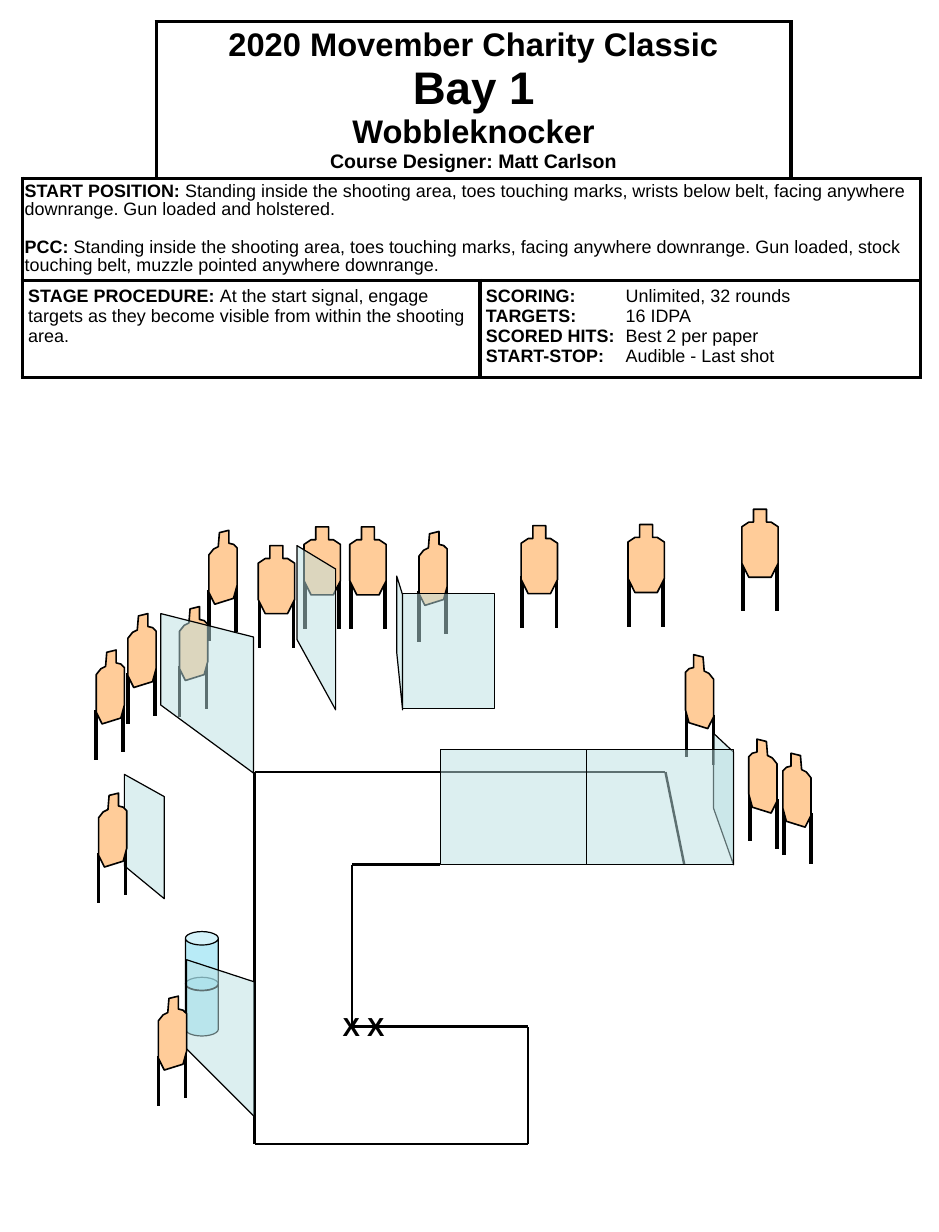
from dataclasses import dataclass
from typing import Any, NamedTuple

from lxml import etree
from pptx import Presentation
from pptx.dml.color import RGBColor
from pptx.enum import shapes as es, text as et
from pptx.oxml import ns
from pptx.util import Inches, Pt


@dataclass(frozen=True)
class Theme:
    font: str = "Arial"
    ink: str = "000000"
    paper: str = "FFFFFF"
    cardboard: str = "FFCC99"
    glass: str = "BBE0E3"
    barrel: str = "73D9F1"
    opacity: int = 50
    thin: float = 0.75
    outline: float = 1
    boundary: float = 1.5
    heavy: float = 2.25
    body: float = 11
    designer: float = 12
    mark: float = 16
    heading: float = 20
    bay: float = 28


class Point(NamedTuple):
    x: float
    y: float


class Leg(NamedTuple):
    x: float
    top: float
    bottom: float


@dataclass(frozen=True)
class TargetKind:
    outline: tuple[Point, ...]
    legs: tuple[Leg, ...]


@dataclass(frozen=True)
class Target:
    kind: TargetKind
    at: Point


class Phrase(NamedTuple):
    words: str
    size: float
    bold: bool = False


THEME = Theme()


def points(*pairs: tuple[float, float]) -> tuple[Point, ...]:
    return tuple(Point(*pair) for pair in pairs)


def mirrored(kind: TargetKind, width: float) -> TargetKind:
    return TargetKind(tuple(Point(width - p.x, p.y) for p in kind.outline),
                      tuple(Leg(width - leg.x, leg.top, leg.bottom) for leg in kind.legs))


FRONTAL = TargetKind(
    points((.1, 0), (.21, 0), (.21, .11), (.25, .11), (.31, .15), (.31, .46), (.25, .58),
           (.06, .58), (0, .46), (0, .15), (.06, .11), (.1, .11)),
    (Leg(.01, .43, .87), Leg(.3, .43, .87)))
TURNED = TargetKind(
    points((.09, .02), (.17, 0), (.17, .11), (.21, .12), (.24, .15), (.24, .47), (.21, .58),
           (.05, .63), (0, .53), (0, .21), (.04, .16), (.08, .14)),
    (Leg(0, .51, .94), Leg(.23, .44, .87)))
TURNED_BACK = mirrored(TURNED, .24)


def targets(kind: TargetKind, *spots: tuple[float, float]) -> list[Target]:
    return [Target(kind, spot) for spot in points(*spots)]


BACK_TARGETS = [
    *targets(TURNED, (3.57, 4.53), (1.78, 4.52), (1.53, 5.17)),
    *targets(TURNED_BACK, (5.84, 5.58)),
    *targets(FRONTAL, (2.2, 4.65), (2.59, 4.49), (2.98, 4.49)),
]
FRONT_TARGETS = [
    *targets(TURNED, (1.35, 8.49), (1.09, 5.23), (.84, 6.76), (.82, 5.54)),
    *targets(TURNED_BACK, (6.38, 6.3), (6.67, 6.42)),
    *targets(FRONTAL, (4.44, 4.48), (5.35, 4.47), (6.32, 4.34)),
]
BOUNDARY = [
    points((5.83, 7.37), (5.67, 6.58), (2.17, 6.58), (2.17, 9.75),
           (4.5, 9.75), (4.5, 8.75), (3, 8.75), (3, 7.37), (3.75, 7.37)),
]
WALLS = [
    points((6.08, 6.89), (6.25, 7.37), (6.25, 6.41), (6.08, 6.25)),
    points((6.25, 7.37), (5, 7.37), (5, 6.39), (6.25, 6.39)),
    points((5, 7.37), (3.75, 7.37), (3.75, 6.39), (5, 6.39)),
    points((1.59, 8.94), (2.17, 9.52), (2.17, 8.37), (1.59, 8.18)),
    points((1.37, 6.01), (2.16, 6.59), (2.16, 5.43), (1.37, 5.23)),
    points((4.21, 6.04), (3.43, 6.04), (3.43, 5.06), (4.21, 5.06)),
    points((3.38, 5.56), (3.43, 6.05), (3.43, 5.07), (3.38, 4.91)),
    points((2.53, 5.45), (2.86, 6.05), (2.86, 4.85), (2.53, 4.65)),
    points((1.06, 7.38), (1.4, 7.66), (1.4, 6.79), (1.06, 6.6)),
]
BODY = THEME.body
TITLE = [[Phrase("2020 Movember Charity Classic", THEME.heading, True)],
         [Phrase("Bay 1", THEME.bay, True)],
         [Phrase("Wobbleknocker", THEME.heading, True)],
         [Phrase("Course Designer: Matt Carlson", THEME.designer, True)]]
START = [[Phrase("START POSITION:", BODY, True),
          Phrase(" Standing inside the shooting area, toes touching marks, wrists below belt, "
                 "facing anywhere downrange. Gun loaded and holstered.", BODY)],
         [Phrase("PCC: ", BODY, True),
          Phrase("Standing inside the shooting area, toes touching marks, facing anywhere "
                 "downrange. Gun loaded, stock touching belt, muzzle pointed anywhere "
                 "downrange.", BODY)]]
PROCEDURE = [[Phrase("STAGE PROCEDURE: ", BODY, True),
              Phrase("At the start signal, engage targets as they become visible from within "
                     "the shooting area.", BODY)]]
SCORING = [[Phrase(label, BODY, True), Phrase("\t" + value, BODY)] for label, value in (
    ("SCORING:", "Unlimited, 32 rounds"), ("TARGETS:", "16 IDPA"),
    ("SCORED HITS:", "Best 2 per paper"), ("START-STOP:", "Audible - Last shot"))]


def assign(item: Any, formats: dict[str, Any]) -> None:
    for name, value in formats.items():
        setattr(item, name, value)


def paint(shape: Any, color: str, width: float, opacity: int = 100) -> None:
    shape.shadow.inherit = False
    shape.fill.solid()
    shape.fill.fore_color.rgb = RGBColor.from_string(color)
    shape.line.color.rgb = RGBColor.from_string(THEME.ink)
    shape.line.width = Pt(width)
    if opacity < 100:
        tone = shape._element.spPr.find(ns.qn("a:solidFill"))[0]
        etree.SubElement(tone, ns.qn("a:alpha"), val=str(opacity * 1000))


def draw_line(shapes: Any, start: Point, end: Point, width: float) -> None:
    line = shapes.add_connector(es.MSO_CONNECTOR.STRAIGHT, *map(Inches, (*start, *end)))
    line.line.color.rgb = RGBColor.from_string(THEME.ink)
    line.line.width = Pt(width)
    etree.SubElement(line._element.spPr, ns.qn("a:effectLst"))


def draw_polygon(shapes: Any, corners: tuple[Point, ...]) -> Any:
    first, *rest = [(Inches(p.x), Inches(p.y)) for p in corners]
    builder = shapes.build_freeform(*first)
    builder.add_line_segments(rest, close=True)
    return builder.convert_to_shape()


def draw_target(shapes: Any, target: Target) -> None:
    x, y = target.at
    stand = shapes.add_group_shape().shapes
    for leg in target.kind.legs:
        draw_line(stand, Point(x + leg.x, y + leg.top), Point(x + leg.x, y + leg.bottom), THEME.heavy)
    outline = tuple(Point(x + p.x, y + p.y) for p in target.kind.outline)
    paint(draw_polygon(stand, outline), THEME.cardboard, THEME.outline)


def write(frame: Any, paragraphs: list[list[Phrase]], formats: dict[str, Any], gap: float = 0) -> None:
    for index, phrases in enumerate(paragraphs):
        paragraph = frame.add_paragraph() if index else frame.paragraphs[0]
        assign(paragraph, formats)
        if index and gap:
            paragraph.space_before = Pt(gap)
        for phrase in phrases:
            run = paragraph.add_run()
            run.text = phrase.words
            assign(run.font, {"name": THEME.font, "size": Pt(phrase.size), "bold": phrase.bold})
            run.font.color.rgb = RGBColor.from_string(THEME.ink)


def add_border(cell: Any, sides: str) -> None:
    for index, side in enumerate(sides):
        edge = etree.Element(ns.qn(f"a:ln{side}"), w=str(Pt(THEME.heavy)))
        fill = etree.SubElement(edge, ns.qn("a:solidFill"))
        etree.SubElement(fill, ns.qn("a:srgbClr"), val=THEME.ink)
        cell._tc.get_or_add_tcPr().insert(index, edge)


def draw_briefing(shapes: Any) -> None:
    columns, rows = (1.14, 2.76, 2.65, 1.1), (1.34, .87, .83)
    table = shapes.add_table(len(rows), len(columns), Inches(.19), Inches(.18),
                             Inches(sum(columns)), Inches(sum(rows))).table
    assign(table, {"first_row": False, "horz_banding": False})
    for column, width in zip(table.columns, columns):
        column.width = Inches(width)
    for row, height in zip(table.rows, rows):
        row.height = Inches(height)
    for first, last in (((0, 1), (0, 2)), ((1, 0), (1, 3)), ((2, 0), (2, 1)), ((2, 2), (2, 3))):
        table.cell(*first).merge(table.cell(*last))
    corners = {(0, 0): "RB", (0, 3): "LB"}
    for r in range(len(rows)):
        for c in range(len(columns)):
            cell = table.cell(r, c)
            cell.fill.solid()
            cell.fill.fore_color.rgb = RGBColor.from_string(THEME.paper)
            add_border(cell, corners.get((r, c), "LRTB"))
    centred = {"alignment": et.PP_ALIGN.CENTER}
    for place, words, formats, gap, inset_x, inset_y in (
            ((0, 1), TITLE, centred, 0, .05, .03), ((1, 0), START, {"line_spacing": .9}, 12.6, .02, .04),
            ((2, 0), PROCEDURE, {}, 0, .05, .05), ((2, 2), SCORING, {}, 0, .05, .05)):
        cell = table.cell(*place)
        assign(cell, {"margin_left": Inches(inset_x), "margin_right": Inches(inset_x),
                      "margin_top": Inches(inset_y), "margin_bottom": Inches(inset_y)})
        write(cell.text_frame, words, formats, gap)
    table.cell(0, 1).vertical_anchor = et.MSO_ANCHOR.MIDDLE
    for paragraph in table.cell(2, 2).text_frame.paragraphs:
        stops = etree.SubElement(paragraph._p.get_or_add_pPr(), ns.qn("a:tabLst"))
        etree.SubElement(stops, ns.qn("a:tab"), pos=str(Inches(1.19)), algn="l")


def main() -> None:
    deck = Presentation()
    assign(deck, {"slide_width": Inches(8), "slide_height": Inches(10.5)})
    shapes = deck.slides.add_slide(deck.slide_layouts[6]).shapes
    for top in (8.33, 7.94):
        barrel = shapes.add_shape(es.MSO_SHAPE.CAN, *map(Inches, (1.58, top, .28, .5)))
        barrel.adjustments[0] = .41
        paint(barrel, THEME.barrel, THEME.thin, THEME.opacity)
    for target in BACK_TARGETS:
        draw_target(shapes, target)
    for course in BOUNDARY:
        for start, end in zip(course, course[1:]):
            draw_line(shapes, start, end, THEME.boundary)
    draw_briefing(shapes)
    marks = shapes.add_textbox(*map(Inches, (2.82, 8.56, .58, .37)))
    marks.text_frame.word_wrap = False
    write(marks.text_frame, [[Phrase("X X", THEME.mark, True)]], {})
    for wall in WALLS:
        paint(draw_polygon(shapes, wall), THEME.glass, THEME.thin, THEME.opacity)
    for target in FRONT_TARGETS:
        draw_target(shapes, target)
    deck.save("out.pptx")


if __name__ == "__main__":
    main()
